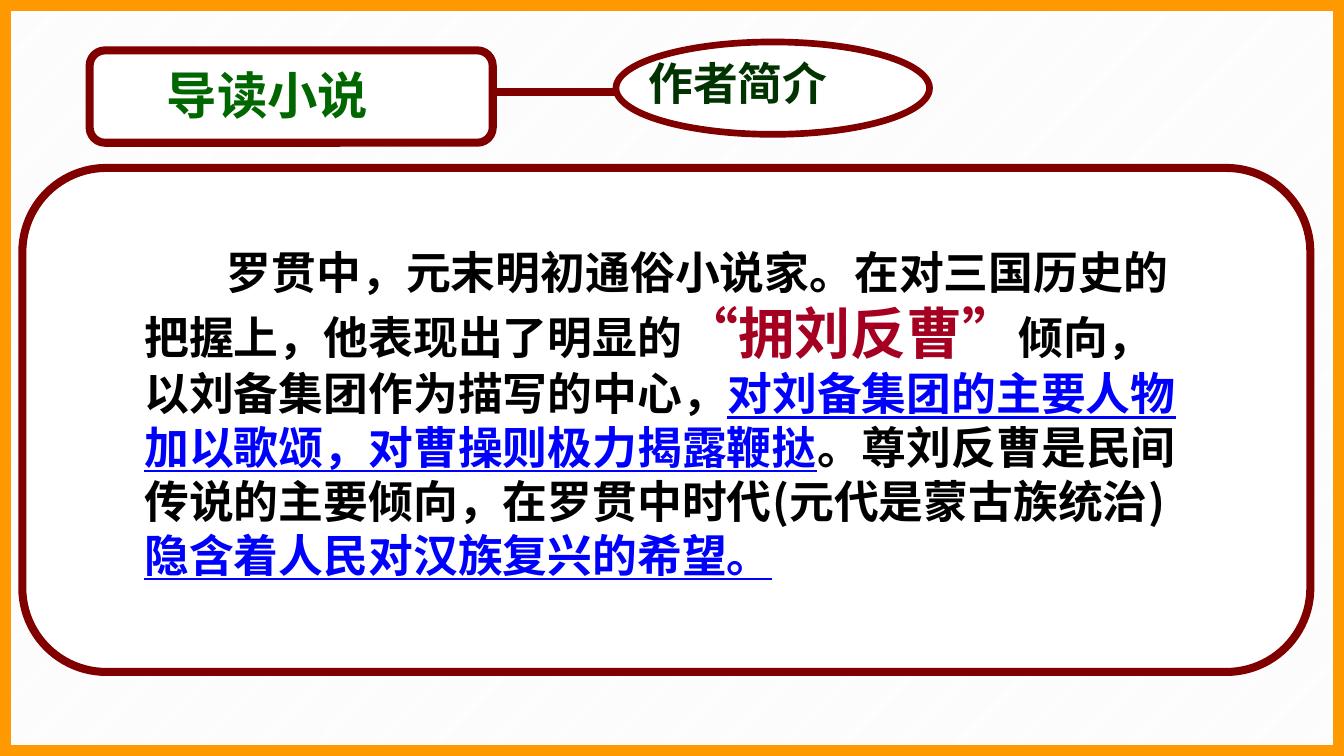
from dataclasses import dataclass

from pptx import Presentation
from pptx import util as u
from pptx.dml.color import RGBColor
from pptx.enum import dml, lang, shapes, text
from pptx.oxml.ns import qn
from lxml import etree

Pt = u.Pt
HEX = {"white": "FFFFFF", "hatch": "F2F2F2", "maroon": "800000",
       "orange": "FF9900", "black": "000000", "red": "A50021",
       "blue": "0000FF", "green": "006600", "dark": "003300"}
JP, SC, ARIAL = "Noto Sans CJK JP", "Noto Sans CJK SC", "Arial"
KIND = shapes.MSO_SHAPE


@dataclass
class Panel:
    kind: shapes.MSO_SHAPE
    box: tuple[float, float, float, float]
    line: str
    width: float
    fill: str | None = "white"


@dataclass
class Span:
    words: str
    size: float
    face: str
    color: str
    under: bool = False


@dataclass
class Label:
    box: tuple[float, float, float, float]
    spans: list[Span]
    wrap: bool = True
    middle: bool = False
    indent: float = 0


CARD = Panel(KIND.ROUNDED_RECTANGLE, (16, 120, 920, 360), "maroon", 5.75)
TITLE = Panel(KIND.ROUNDED_RECTANGLE, (64, 36, 288, 66), "maroon", 5.75)
TOPIC = Panel(KIND.OVAL, (440, 30, 224, 66), "maroon", 4.75)
FRAME = Panel(KIND.RECTANGLE, (0, 0, 960, 540), "orange", 15.75, None)

STORY = Label((96, 170, 766, 250), [
    Span("罗贯中，元末明初通俗小说家。在对三国历史的把握上，他表现出了明显的", 32, JP, "black"),
    Span("“拥刘反曹”", 40, SC, "red"),
    Span("倾向，以刘备集团作为描写的中心，", 32, JP, "black"),
    Span("对刘备集团的主要人物加以歌颂，对曹操则极力揭露鞭挞", 32, SC, "blue", True),
    Span("。尊刘反曹是民间传说的主要倾向，在罗贯中时代(元代是蒙古族统治)", 32, JP, "black"),
    Span("隐含着人民对汉族复兴的希望。", 32, SC, "blue", True),
], middle=True, indent=59)
HEAD = Label((112, 42, 179, 51), [Span("导读小说", 36, SC, "green")], wrap=False)
NAME = Label((456, 36, 200, 45), [Span("作者简介", 32, ARIAL, "dark")])


def tint(name: str) -> RGBColor:
    return RGBColor.from_string(HEX[name])


def draw(slide, item: Panel) -> None:
    shape = slide.shapes.add_shape(item.kind, *map(Pt, item.box))
    shape.shadow.inherit = False
    if item.fill:
        shape.fill.solid()
        shape.fill.fore_color.rgb = tint(item.fill)
    else:
        shape.fill.background()
    shape.line.color.rgb = tint(item.line)
    shape.line.width = Pt(item.width)


def link(slide, left: float, right: float, y: float) -> None:
    line = slide.shapes.add_connector(
        shapes.MSO_CONNECTOR.STRAIGHT, Pt(left), Pt(y), Pt(right), Pt(y))
    line.line.color.rgb = tint("maroon")
    line.line.width = Pt(5.75)
    etree.SubElement(line._element.spPr, qn("a:effectLst"))


def write(slide, item: Label) -> None:
    frame = slide.shapes.add_textbox(*map(Pt, item.box)).text_frame
    frame.word_wrap = item.wrap
    if item.middle:
        frame.vertical_anchor = text.MSO_ANCHOR.MIDDLE
    para = frame.paragraphs[0]
    if item.indent:
        para._p.get_or_add_pPr().set("indent", str(Pt(item.indent)))
    para.font.bold = True
    for span in item.spans:
        run = para.add_run()
        run.text = span.words
        font = run.font
        font.bold = True
        font.size = Pt(span.size)
        font.color.rgb = tint(span.color)
        font.underline = span.under
        font.language_id = lang.MSO_LANGUAGE_ID.SIMPLIFIED_CHINESE
        font.name = span.face
        east = etree.SubElement(run._r.get_or_add_rPr(), qn("a:ea"))
        east.set("typeface", span.face)


def main() -> None:
    deck = Presentation()
    deck.slide_width, deck.slide_height = Pt(960), Pt(540)
    slide = deck.slides.add_slide(deck.slide_layouts[6])
    back = slide.background.fill
    back.patterned()
    back.pattern = dml.MSO_PATTERN.LIGHT_UPWARD_DIAGONAL
    back.fore_color.rgb = tint("hatch")
    back.back_color.rgb = tint("white")
    draw(slide, CARD)
    write(slide, STORY)
    draw(slide, TITLE)
    write(slide, HEAD)
    draw(slide, TOPIC)
    link(slide, 352, 440, 66)
    write(slide, NAME)
    draw(slide, FRAME)
    deck.save("out.pptx")


if __name__ == "__main__":
    main()
